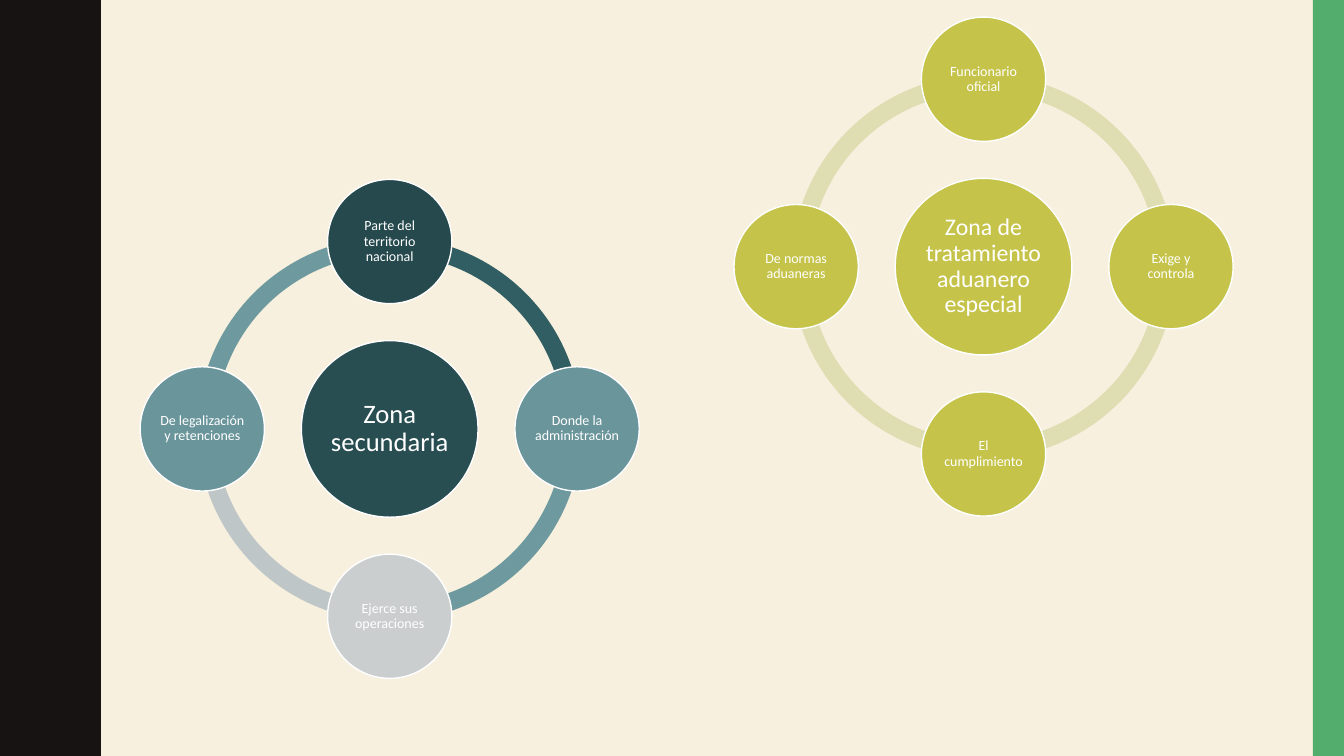
import pptx
import pptx.util
import pptx.dml.color
import pptx.enum.shapes
import pptx.enum.text

SHAPE = pptx.enum.shapes.MSO_SHAPE
COLORS = {
    "background": "F7F0DF", "wave": "171312", "stripe": "53AE6E",
    "white": "FFFFFF", "hub": "284E52", "dark": "25494C",
    "teal": "6A959B", "gray": "CACECF", "arc_dark": "305E62",
    "arc_teal": "6D999F", "arc_gray": "BFC6C7",
    "olive": "C5C34A", "arc_olive": "DFDEB2",
}
WAVE_HALF = [
    (0.78, 0), (0.78, 0.07), (0.79, 0.14), (0.8, 0.2), (0.81, 0.25),
    (0.83, 0.29), (0.85, 0.33), (0.87, 0.38), (0.89, 0.42), (0.91, 0.46),
    (0.93, 0.5), (0.95, 0.55), (0.96, 0.61), (0.97, 0.68), (0.97, 0.75),
]
WAVE_PERIOD = 1.5
WAVE_COUNT = 5
GRID = 100
RING, HUB, SATELLITE = 77, 35.4, 24.9
RING_THICKNESS = 0.046
QUARTER = 54
DIRECTIONS = [(0, -1), (1, 0), (0, 1), (-1, 0)]


def rgb(name):
    return pptx.dml.color.RGBColor.from_string(COLORS[name])


def paint(sp, fill, line=None):
    sp.shadow.inherit = False
    sp.fill.solid()
    sp.fill.fore_color.rgb = rgb(fill)
    if line:
        sp.line.color.rgb = rgb(line)
        sp.line.width = pptx.util.Pt(1)
    else:
        sp.line.fill.background()


def add_centered(shapes, kind, box, x, y, size):
    left, top, side = box
    cell = side / GRID
    position = (left + (x - size / 2) * cell, top + (y - size / 2) * cell)
    lengths = [pptx.util.Inches(v) for v in (*position, size * cell, size * cell)]
    return shapes.add_shape(kind, *lengths)


def add_circle(shapes, box, x, y, size, text, color, points, inset):
    sp = add_centered(shapes, SHAPE.OVAL, box, x, y, size)
    paint(sp, color, "white")
    tf = sp.text_frame
    tf.text = text
    tf.word_wrap = True
    tf.vertical_anchor = pptx.enum.text.MSO_ANCHOR.MIDDLE
    tf.margin_left = tf.margin_right = pptx.util.Inches(inset)
    tf.margin_top = tf.margin_bottom = pptx.util.Inches(inset)
    p = tf.paragraphs[0]
    p.alignment = pptx.enum.text.PP_ALIGN.CENTER
    p.line_spacing = 0.9
    font = p.runs[0].font
    font.name = "Calibri"
    font.size = pptx.util.Pt(points)
    font.color.rgb = rgb("white")


def add_radial_cycle(s, box, hub, satellites, arc_colors):
    shapes = s.shapes.add_group_shape().shapes
    center = GRID / 2
    orbit = center - SATELLITE / 2
    for i, color in enumerate(arc_colors):
        arc = add_centered(shapes, SHAPE.BLOCK_ARC, box, center, center, RING)
        start = (i + 3) % 4 * QUARTER
        arc.adjustments[0] = start
        arc.adjustments[1] = (start + QUARTER) % (4 * QUARTER)
        arc.adjustments[2] = RING_THICKNESS
        paint(arc, color)
    add_circle(shapes, box, center, center, HUB, *hub)
    for (dx, dy), (text, color) in zip(DIRECTIONS, satellites):
        add_circle(shapes, box, center + dx * orbit, center + dy * orbit,
                   SATELLITE, text, color, 10, 0.01)


def add_wave(s, height):
    period = WAVE_HALF + [(x, WAVE_PERIOD - y) for x, y in WAVE_HALF[-2::-1]]
    edge = [(x, y + i * WAVE_PERIOD) for i in range(WAVE_COUNT) for x, y in period]
    builder = s.shapes.build_freeform(0, 0, scale=pptx.util.Inches(1))
    builder.add_line_segments(edge + [(0, height)], close=True)
    paint(builder.convert_to_shape(), "wave")


def add_stripe(s, left, top, width, height):
    lengths = [pptx.util.Inches(v) for v in (left, top, width, height)]
    paint(s.shapes.add_shape(SHAPE.RECTANGLE, *lengths), "stripe")


def main():
    width, height = 13.33, 7.5
    prs = pptx.Presentation()
    prs.slide_width = pptx.util.Inches(width)
    prs.slide_height = pptx.util.Inches(height)
    s = prs.slides.add_slide(prs.slide_layouts[6])
    s.background.fill.solid()
    s.background.fill.fore_color.rgb = rgb("background")

    add_wave(s, height)
    add_stripe(s, width - 0.31, 0, 0.31, height)
    side = height * 0.66
    add_radial_cycle(
        s, (1.39, 1.78, side),
        ("Zona secundaria", "hub", 19, 0.03),
        [("Parte del territorio nacional", "dark"),
         ("Donde la administración", "teal"),
         ("Ejerce sus operaciones", "gray"),
         ("De legalización y retenciones", "teal")],
        ["arc_dark", "arc_teal", "arc_gray", "arc_teal"],
    )
    add_radial_cycle(
        s, (7.28, 0.17, side),
        ("Zona de tratamiento aduanero especial", "olive", 17, 0.02),
        [(text, "olive") for text in (
            "Funcionario oficial", "Exige y controla",
            "El cumplimiento", "De normas aduaneras")],
        ["arc_olive"] * 4,
    )
    prs.save("out.pptx")


main()
